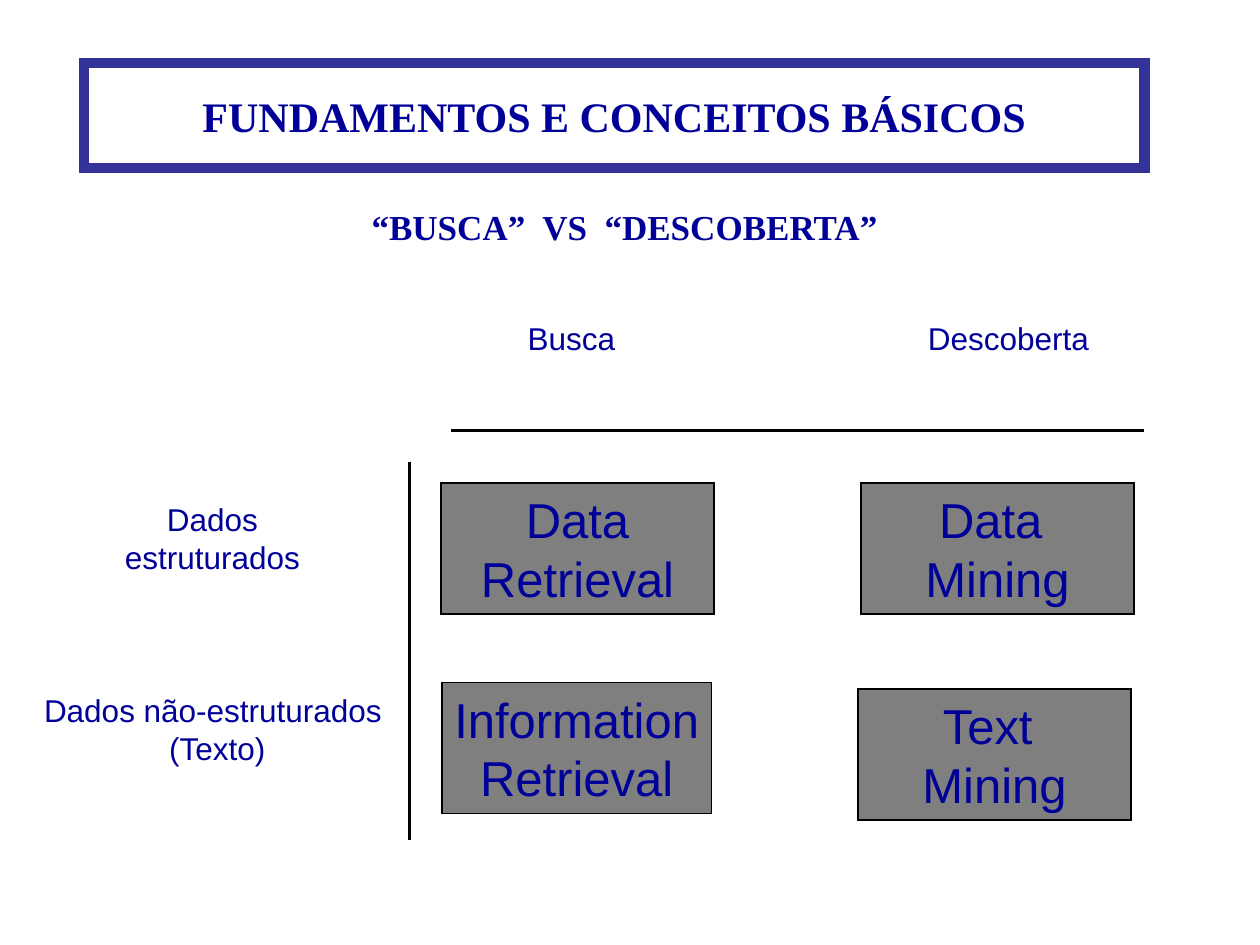
from dataclasses import dataclass

import pptx
import pptx.dml.color
import pptx.enum.shapes
import pptx.enum.text
import pptx.oxml.ns
import pptx.util
from lxml import etree

Pt = pptx.util.Pt
RGBColor = pptx.dml.color.RGBColor
Anchor = pptx.enum.text.MSO_ANCHOR
Fit = pptx.enum.text.MSO_AUTO_SIZE

NAVY = RGBColor(0x00, 0x00, 0x99)
FRAME = RGBColor(0x33, 0x33, 0x99)
GRAY = RGBColor(0x7F, 0x7F, 0x7F)
BLACK = RGBColor(0x00, 0x00, 0x00)
SERIF = "Times New Roman"
SANS = "Arial"


@dataclass
class Item:
    text: str
    left: float
    top: float
    width: float
    height: float


@dataclass
class Rule:
    x1: float
    y1: float
    x2: float
    y2: float


LABELS = [
    Item("Busca", 294.5, 178.6, 64, 29),
    Item("Descoberta", 523, 178.6, 106.6, 29),
    Item("Dados\nestruturados", 64.1, 282.4, 114.5, 50.4),
    Item("Dados não-estruturados \n(Texto)", 18, 391.3, 212.4, 50.4),
]
CELLS = [
    Item("Data\nRetrieval", 252, 276, 156, 74.9),
    Item("Data \nMining", 492, 276, 156, 74.9),
    Item("Information\nRetrieval", 252.5, 390, 154, 74.9),
    Item("Text \nMining", 490.3, 393.8, 156, 74.9),
]
RULES = [Rule(258, 246, 654, 246), Rule(234, 264, 234, 480)]


def write(shape, text: str, font: str, size: float, bold: bool = False) -> None:
    frame = shape.text_frame
    frame.text = text
    for para in frame.paragraphs:
        para.alignment = pptx.enum.text.PP_ALIGN.CENTER
        for run in para.runs:
            run.font.name = font
            run.font.size = Pt(size)
            run.font.bold = bold
            run.font.color.rgb = NAVY


def fit(shape) -> None:
    frame = shape.text_frame
    frame.vertical_anchor = Anchor.MIDDLE
    frame.margin_left = frame.margin_right = Pt(4)
    frame.word_wrap = True
    frame.auto_size = Fit.NONE


def edge(shape, color: RGBColor, width: float) -> None:
    shape.line.color.rgb = color
    shape.line.width = Pt(width)
    line = shape._element.spPr.find(pptx.oxml.ns.qn("a:ln"))
    etree.SubElement(line, pptx.oxml.ns.qn("a:miter"), lim="800000")


def add_head(slide) -> None:
    head = slide.shapes.title
    head.left, head.top = Pt(48), Pt(36)
    head.width, head.height = Pt(606), Pt(60)
    edge(head, FRAME, 6)
    write(head, "FUNDAMENTOS E CONCEITOS BÁSICOS", SERIF, 24, True)
    head.text_frame.vertical_anchor = Anchor.MIDDLE
    head.text_frame.auto_size = Fit.NONE


def add_text(slide, item: Item):
    return slide.shapes.add_textbox(
        Pt(item.left), Pt(item.top), Pt(item.width), Pt(item.height))


def add_label(slide, item: Item) -> None:
    box = add_text(slide, item)
    write(box, item.text, SANS, 18)
    fit(box)


def add_cell(slide, item: Item) -> None:
    cell = slide.shapes.add_shape(
        pptx.enum.shapes.MSO_SHAPE.RECTANGLE,
        Pt(item.left), Pt(item.top), Pt(item.width), Pt(item.height))
    cell.shadow.inherit = False
    cell.fill.solid()
    cell.fill.fore_color.rgb = GRAY
    edge(cell, BLACK, 0.75)
    write(cell, item.text, SANS, 28)
    fit(cell)


def add_rule(slide, rule: Rule) -> None:
    line = slide.shapes.add_connector(
        pptx.enum.shapes.MSO_CONNECTOR.STRAIGHT,
        Pt(rule.x1), Pt(rule.y1), Pt(rule.x2), Pt(rule.y2))
    line.line.color.rgb = BLACK
    line.line.width = Pt(2)
    etree.SubElement(line._element.spPr, pptx.oxml.ns.qn("a:effectLst"))


def main() -> None:
    deck = pptx.Presentation()
    deck.slide_width, deck.slide_height = Pt(720), Pt(540)
    slide = deck.slides.add_slide(deck.slide_layouts[5])
    add_head(slide)
    sub = add_text(slide, Item("“BUSCA”  VS  “DESCOBERTA”", 25.4, 113.8, 663, 41.8))
    write(sub, "“BUSCA”  VS  “DESCOBERTA”", SERIF, 20, True)
    sub.text_frame.word_wrap = True
    for item in LABELS:
        add_label(slide, item)
    for item in CELLS:
        add_cell(slide, item)
    for rule in RULES:
        add_rule(slide, rule)
    deck.save("out.pptx")


if __name__ == "__main__":
    main()
